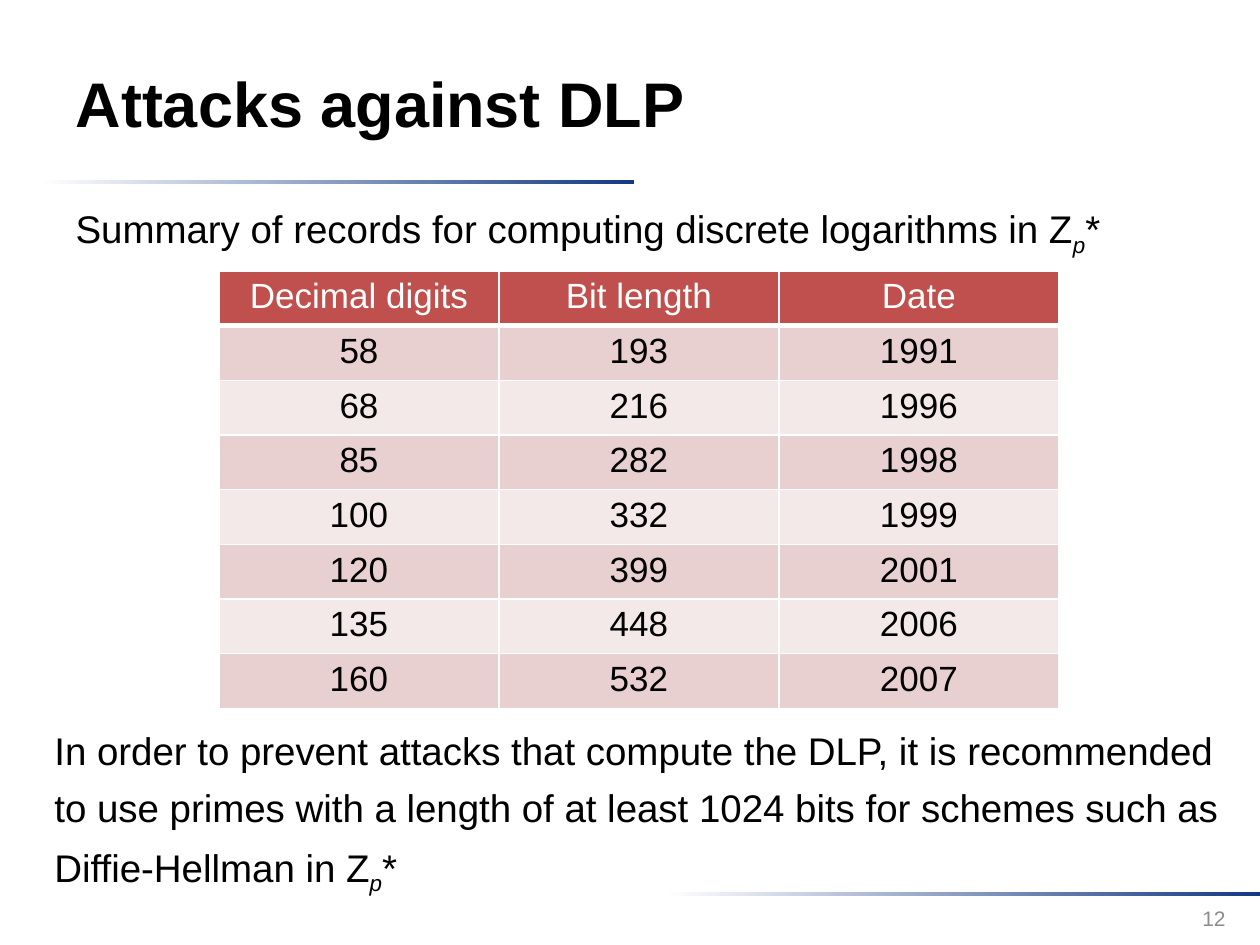
from dataclasses import dataclass
from pptx import Presentation
from pptx.dml.color import RGBColor as RGB
from pptx.enum.shapes import MSO_SHAPE as Shape
from pptx.enum.text import MSO_ANCHOR as Anchor, MSO_AUTO_SIZE as AutoSize, PP_ALIGN as Align
from pptx.oxml.ns import qn
from pptx.util import Pt
from lxml.etree import SubElement

TITLE = "Attacks against DLP"
SUMMARY = [("Summary of records for computing discrete logarithms in Z", False), ("p", True), ("*", False)]
ADVICE = [
    ("In order to prevent attacks that compute the DLP, it is recommended to use primes "
     "with a length of at least 1024 bits for schemes such as Diffie-Hellman in Z", False),
    ("p", True),
    ("*", False),
]
PAGE = "12"
RECORDS = [
    ("Decimal digits", "Bit length", "Date"),
    ("58", "193", "1991"),
    ("68", "216", "1996"),
    ("85", "282", "1998"),
    ("100", "332", "1999"),
    ("120", "399", "2001"),
    ("135", "448", "2006"),
    ("160", "532", "2007"),
]
RULES = [(39, 180, 595, 4), (665, 892, 595, 4)]


@dataclass(frozen=True)
class Theme:
    font: str = "Arial"
    ink: str = "000000"
    paper: str = "FFFFFF"
    rule: str = "133984"
    muted: str = "8C8C8C"
    header: str = "C0504D"
    bands: tuple = ("F4E9E9", "E8D0D0")
    title: int = 36
    text: int = 22
    cell: int = 20
    page: int = 12


T = Theme()


def px(n):
    return round(n * 914400 / 126)


def box(*lengths):
    return [px(n) for n in lengths]


def style(r, size, color=T.ink, bold=False):
    r.font.name = T.font
    r.font.size = Pt(size)
    r.font.bold = bold
    r.font.color.rgb = RGB.from_string(color)


def write(tf, text, size, color=T.ink, align=Align.LEFT, bold=False):
    tf.text = text
    p = tf.paragraphs[0]
    p.alignment = align
    style(p.runs[0], size, color, bold)


def write_formula(p, parts):
    for text, subscript in parts:
        r = p.add_run()
        r.text = text
        style(r, T.text)
        if subscript:
            r.font.italic = True
            r.font._element.set("baseline", "-25000")


def place(sp, *lengths):
    sp.left, sp.top, sp.width, sp.height = box(*lengths)
    sp.text_frame.auto_size = AutoSize.NONE


def add_rule(s, lengths):
    sp = s.shapes.add_shape(Shape.RECTANGLE, *box(*lengths))
    sp.shadow.inherit = False
    sp.line.fill.background()
    sp.fill.gradient()
    sp.fill.gradient_angle = 0
    for stop, color, position in zip(sp.fill.gradient_stops, (T.paper, T.rule), (0, 1)):
        stop.color.rgb = RGB.from_string(color)
        stop.position = position


def add_text_box(s, *lengths):
    tf = s.shapes.add_textbox(*box(*lengths)).text_frame
    tf.word_wrap = True
    return tf


def set_borders(cell, bottom):
    tcPr = cell._tc.get_or_add_tcPr()
    for i, (side, width) in enumerate((("lnL", 1), ("lnR", 1), ("lnT", 1), ("lnB", bottom))):
        ln = SubElement(tcPr, qn(f"a:{side}"), w=str(Pt(width)))
        SubElement(SubElement(ln, qn("a:solidFill")), qn("a:srgbClr"), val=T.paper)
        tcPr.remove(ln)
        tcPr.insert(i, ln)


def add_records(s):
    table = s.shapes.add_table(len(RECORDS), len(RECORDS[0]), *box(219, 271, 840, 413)).table
    for i, record in enumerate(RECORDS):
        fill, color = (T.bands[i % 2], T.ink) if i else (T.header, T.paper)
        for j, text in enumerate(record):
            cell = table.cell(i, j)
            write(cell.text_frame, text, T.cell, color, Align.CENTER)
            cell.fill.solid()
            cell.fill.fore_color.rgb = RGB.from_string(fill)
            set_borders(cell, 1 if i else 3)


def main():
    prs = Presentation()
    prs.slide_width, prs.slide_height = box(1260, 945)
    s = prs.slides.add_slide(prs.slide_layouts[1])
    for lengths in RULES:
        add_rule(s, lengths)

    title, body = s.placeholders
    place(title, 63, 23, 974, 158)
    title.text_frame.vertical_anchor = Anchor.MIDDLE
    write(title.text_frame, TITLE, T.title, bold=True)

    place(body, 63, 199, 1153, 89)
    p = body.text_frame.paragraphs[0]
    pPr = p._p.get_or_add_pPr()
    pPr.set("marL", "0")
    pPr.set("indent", "0")
    SubElement(pPr, qn("a:buNone"))
    write_formula(p, SUMMARY)

    tf = add_text_box(s, 944, 893, 294, 50)
    tf.vertical_anchor = Anchor.MIDDLE
    write(tf, PAGE, T.page, T.muted, Align.RIGHT)

    add_records(s)

    p = add_text_box(s, 42, 709, 1197, 188).paragraphs[0]
    p.line_spacing = 1.25
    p.space_before = Pt(T.text / 4)
    write_formula(p, ADVICE)
    prs.save("out.pptx")


if __name__ == "__main__":
    main()
